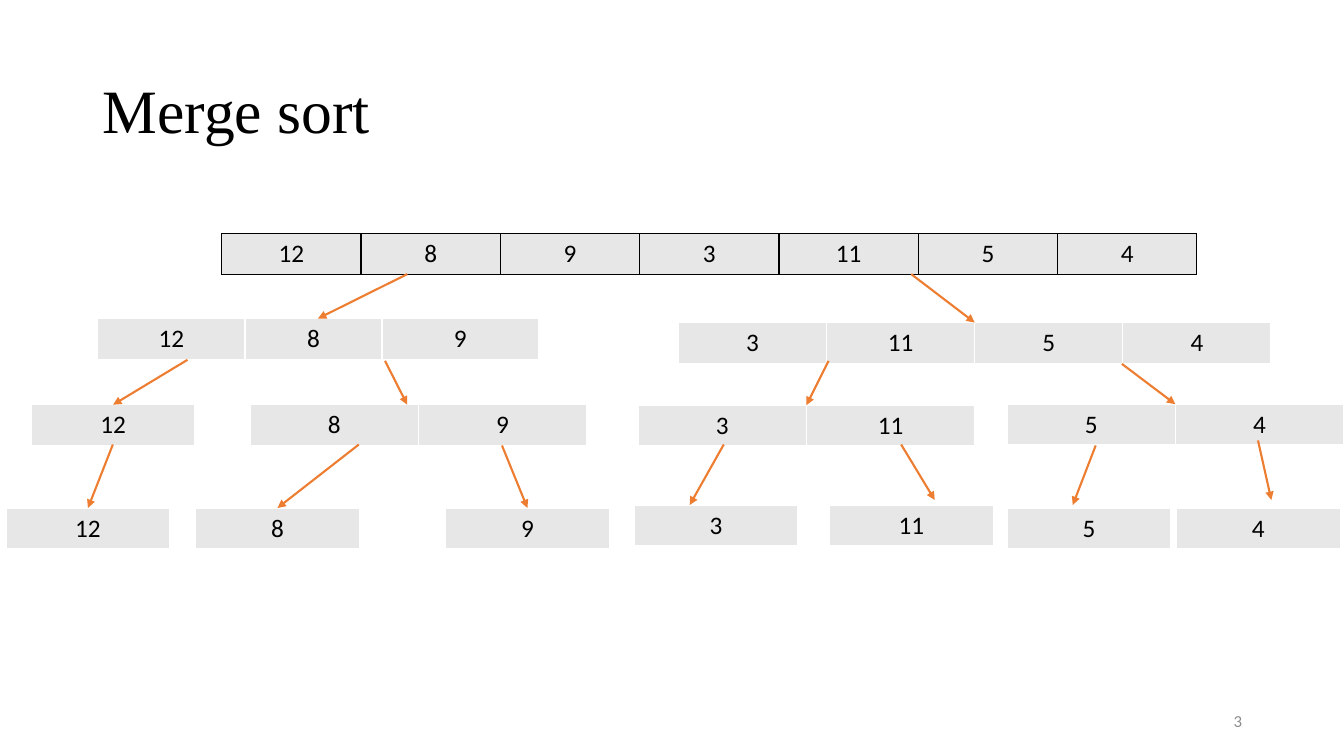
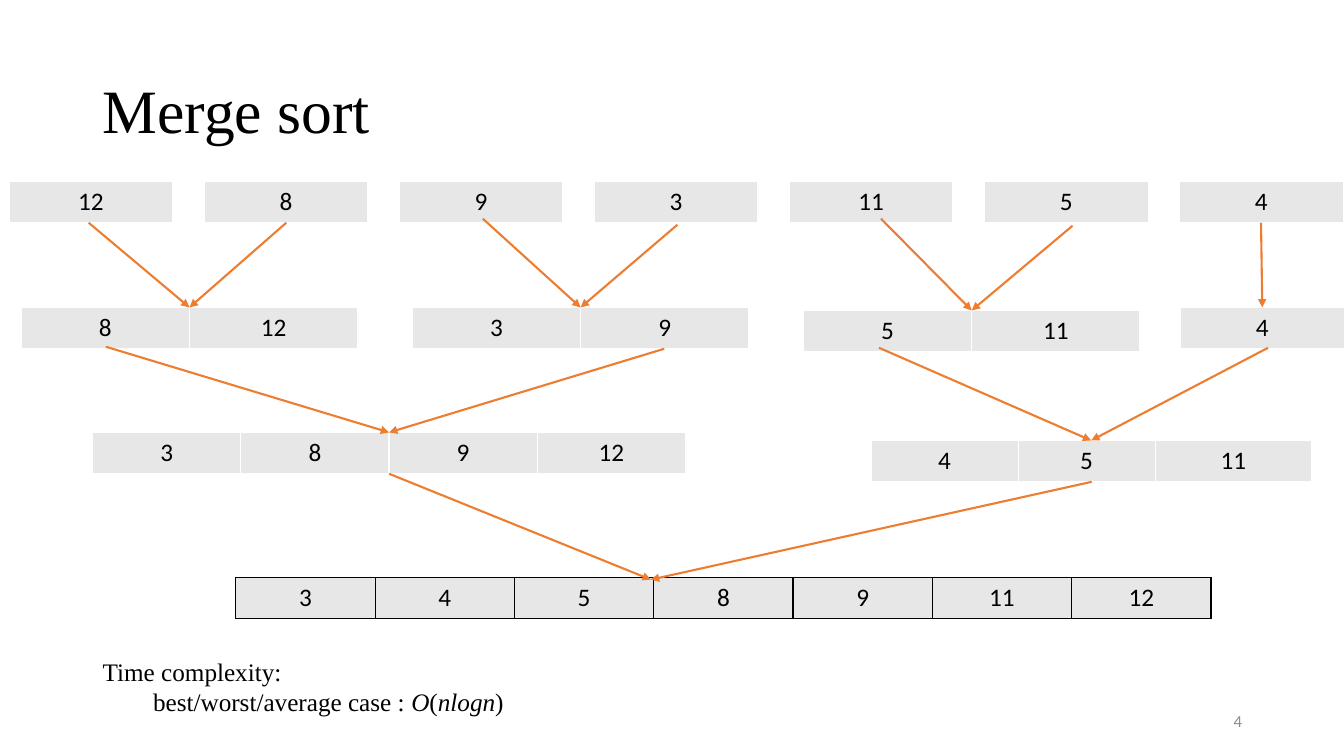
from dataclasses import dataclass

from lxml import etree
from pptx import Presentation
from pptx import util as u
from pptx.dml.color import RGBColor
from pptx.enum import shapes, text
from pptx.oxml.ns import qn

COLS, ROWS = 133.33, 75  # the slide as a grid of 0.1 inch cells
BLACK, WHITE, GREY, CELL_FILL, ORANGE = "000000", "FFFFFF", "8C8C8C", "E7E7E7", "ED7D31"
SERIF, SANS = "Times New Roman", "Calibri"
ROW_HEIGHT = 4.05
# column widths by number of values in the array
WIDTHS = {1: [16.25], 2: [16.7] * 2, 3: [14.6, 13.6, 15.5], 4: [14.7] * 4, 7: [13.82] * 7}


@dataclass
class Array:
    """A one-row table, the starts of the arrows into it, and their tip's offset from top centre."""
    left: float
    top: float
    values: list
    starts: tuple = ()
    shift: tuple = (0, 0)

    @property
    def widths(self):
        return WIDTHS[len(self.values)]

    @property
    def tip(self):
        dx, dy = self.shift
        return self.left + sum(self.widths) / 2 + dx, self.top + dy


SPLIT = [
    Array(22, 23.2, [12, 8, 9, 3, 11, 5, 4]),
    Array(9.7, 31.6, [12, 8, 9], ((40.4, 27.2),)),
    Array(67.3, 32, [3, 11, 5, 4], ((90.4, 27.2),)),
    Array(3.1, 40.15, [12], ((18.6, 35.7),)),
    Array(24.8, 40.15, [8, 9], ((38.2, 35.8),), (-1.1, 0)),
    Array(63.3, 40.2, [3, 11], ((82.2, 35.8),)),
    Array(99.9, 40.1, [5, 4], ((111.3, 36.1),)),
    Array(0.6, 50.4, [12], ((11.2, 44.1),)),
    Array(19.4, 50.4, [8], ((35.6, 44.1),)),
    Array(44.2, 50.4, [9], ((49.8, 44.2),)),
    Array(62.9, 50.1, [3], ((71.8, 44.1),), (-2.6, 0)),
    Array(82.3, 50.1, [11], ((89.4, 44.1),), (2.3, -0.5)),
    Array(99.9, 50.4, [5], ((108.7, 44.2),), (-1.6, -0.3)),
    Array(116.7, 50.4, [4], ((124.8, 43.7),), (1.3, -0.8)),
]

MERGE = [
    *(Array(0.9 + 19.35 * i, 18, [value])
      for i, value in enumerate([12, 8, 9, 3, 11, 5, 4])),
    Array(2.1, 30.5, [8, 12], ((8.8, 22.1), (28.4, 22.1))),
    Array(40.9, 30.5, [3, 9], ((47.9, 21.7), (67.2, 22.3))),
    Array(79.7, 30.8, [5, 11], ((87.4, 21.7), (106.4, 22.4))),
    Array(117.1, 30.5, [4], ((125.1, 22.1),)),
    Array(9.2, 42.9, [3, 8, 9, 12], ((65.9, 34.6), (10.5, 34.4))),
    Array(86.4, 43.7, [4, 5, 11], ((125.8, 34.5), (87.2, 34.5))),
    Array(23.4, 57.3, [3, 4, 5, 8, 9, 11, 12], ((38.6, 47), (108.3, 47.8)), (-7.2, 0.2)),
]


def grid(*cells):
    return [u.Inches(c / 10) for c in cells]


def color(hex_string):
    return RGBColor.from_string(hex_string)


def style(p, size, font=SERIF, fill=BLACK, align=None):
    p.alignment = align
    for r in p.runs:
        r.font.size = u.Pt(size)
        r.font.name = font
        r.font.color.rgb = color(fill)


def add_text(s, box, content, anchor=text.MSO_ANCHOR.MIDDLE):
    tf = s.shapes.add_textbox(*grid(*box)).text_frame
    tf.word_wrap = True
    tf.vertical_anchor = anchor
    tf.text = content
    return tf


def add_border(cell, hex_string):
    tcPr = cell._tc.get_or_add_tcPr()
    for side in ("lnL", "lnR", "lnT", "lnB"):
        ln = etree.SubElement(tcPr, qn(f"a:{side}"), w=str(u.Pt(1)))
        fill = etree.SubElement(ln, qn("a:solidFill"))
        etree.SubElement(fill, qn("a:srgbClr"), val=hex_string)


def add_array(s, array):
    count = len(array.values)
    box = grid(array.left, array.top, sum(array.widths), ROW_HEIGHT)
    table = s.shapes.add_table(1, count, *box).table
    table.first_row = table.horz_banding = False
    border = BLACK if count == 7 else WHITE
    for i, value in enumerate(array.values):
        table.columns[i].width = grid(array.widths[i])[0]
        cell = table.cell(0, i)
        add_border(cell, border)
        cell.fill.solid()
        cell.fill.fore_color.rgb = color(CELL_FILL)
        cell.text = str(value)
        style(cell.text_frame.paragraphs[0], 18, SANS, align=text.PP_ALIGN.CENTER)


def add_arrow(s, start, end):
    line = s.shapes.add_connector(shapes.MSO_CONNECTOR.STRAIGHT, *grid(*start, *end))
    line.line.color.rgb = color(ORANGE)
    line.line.width = u.Pt(1.5)
    etree.SubElement(line.line._get_or_add_ln(), qn("a:tailEnd"), type="triangle")
    etree.SubElement(line._element.spPr, qn("a:effectLst"))


def add_slide(prs, number, arrays):
    s = prs.slides.add_slide(prs.slide_layouts[6])
    p = add_text(s, (9.2, 4, 115, 14.5), "Merge sort").paragraphs[0]
    p.line_spacing = 0.9
    style(p, 44)
    p = add_text(s, (94.2, 69.5, 30, 4), str(number)).paragraphs[0]
    style(p, 12, SANS, GREY, text.PP_ALIGN.RIGHT)
    for array in arrays:
        add_array(s, array)
    for array in arrays:
        for start in array.starts:
            add_arrow(s, start, array.tip)
    return s


def add_complexity(s):
    tf = add_text(s, (9.2, 64.6, 58.8, 7.1), "Time complexity:", text.MSO_ANCHOR.TOP)
    p = tf.add_paragraph()
    p.level = 1
    pPr = p._p.get_or_add_pPr()
    pPr.set("marL", str(u.Inches(0.5)))
    pPr.set("indent", "0")
    for part, italic in (("best/worst/average case : ", False), ("O", True),
                         ("(", False), ("nlogn", True), (")", False)):
        r = p.add_run()
        r.text = part
        r.font.italic = italic
    for p in tf.paragraphs:
        style(p, 18)


def main():
    prs = Presentation()
    prs.slide_width, prs.slide_height = grid(COLS, ROWS)
    add_slide(prs, 3, SPLIT)
    add_complexity(add_slide(prs, 4, MERGE))
    prs.save("out.pptx")


if __name__ == "__main__":
    main()
